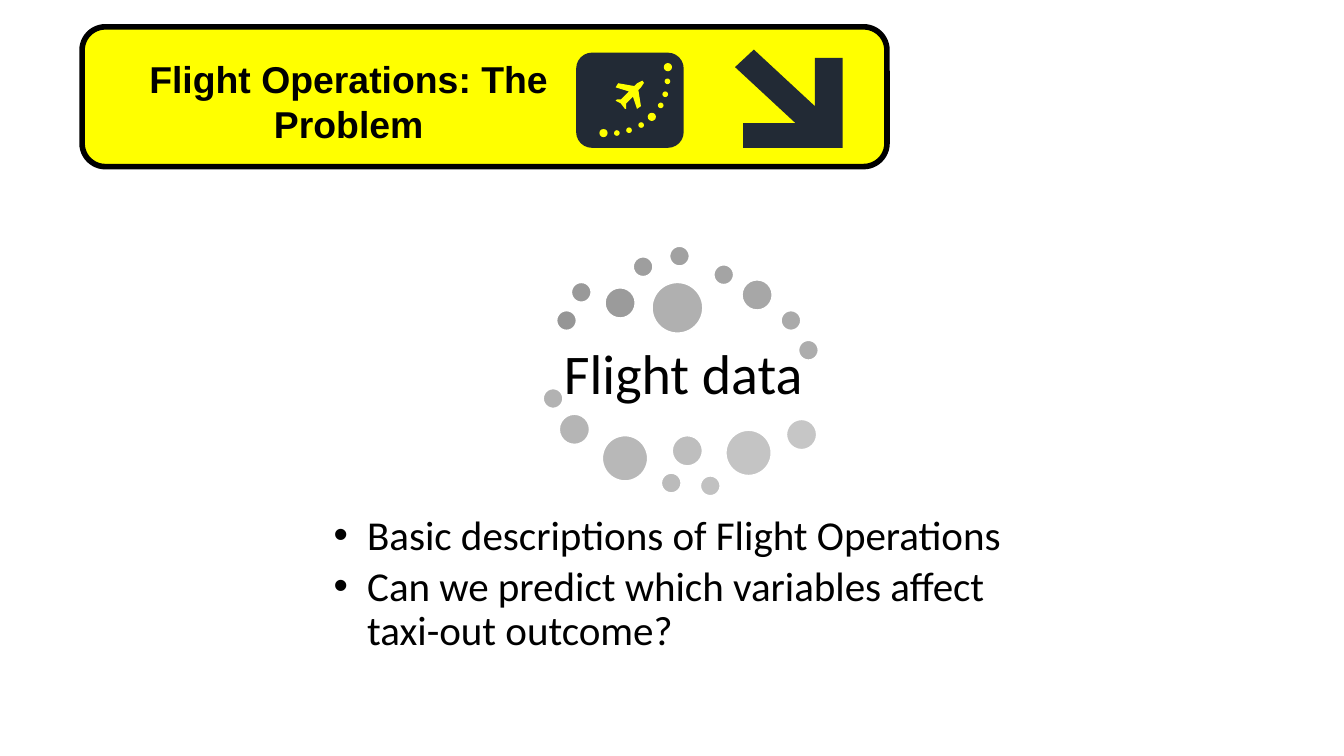
import dataclasses

import lxml.etree
import pptx
import pptx.dml.color
import pptx.enum.shapes
import pptx.enum.text
import pptx.oxml.ns
import pptx.util

Pt = pptx.util.Pt
RGB = pptx.dml.color.RGBColor.from_string
ANCHOR = pptx.enum.text.MSO_ANCHOR
ALIGN = pptx.enum.text.PP_ALIGN
SHAPE = pptx.enum.shapes.MSO_SHAPE


@dataclasses.dataclass(frozen=True)
class Theme:
    yellow: str = "FFFF00"
    navy: str = "222A35"
    black: str = "000000"
    white: str = "FFFFFF"
    title_size: int = 20
    label_size: int = 30
    body_size: int = 22
    title_font: str = "Arial"
    body_font: str = "Calibri"


theme = Theme()
prs = pptx.Presentation()
prs.slide_width = Pt(720)
prs.slide_height = Pt(405)
s = prs.slides.add_slide(prs.slide_layouts[1])


def paint(sp, fill, line=None, width=1):
    sp.shadow.inherit = False
    sp.fill.solid()
    sp.fill.fore_color.rgb = RGB(fill)
    if line:
        sp.line.color.rgb = RGB(line)
        sp.line.width = Pt(width)
    else:
        sp.line.fill.background()


def write(sp, box, lines, font, size, bold=False, align=ALIGN.LEFT,
          anchor=ANCHOR.TOP, inset=(3, 3), spacing=0.9, after=0, bullet=False):
    sp.left, sp.top, sp.width, sp.height = (Pt(v) for v in box)
    tf = sp.text_frame
    tf.word_wrap = True
    tf.auto_size = pptx.enum.text.MSO_AUTO_SIZE.NONE
    tf.vertical_anchor = anchor
    tf.margin_left = tf.margin_right = Pt(inset[0])
    tf.margin_top = tf.margin_bottom = Pt(inset[1])
    for i, line in enumerate(lines):
        p = tf.add_paragraph() if i else tf.paragraphs[0]
        p.alignment = align
        p.line_spacing = spacing
        p.space_before = Pt(0)
        p.space_after = Pt(after)
        if bullet:
            pPr = p._p.get_or_add_pPr()
            pPr.set("marL", str(Pt(18)))
            pPr.set("indent", str(Pt(-18)))
            bu = lxml.etree.SubElement(pPr, pptx.oxml.ns.qn("a:buChar"))
            bu.set("char", "•")
        r = p.add_run()
        r.text = line
        r.font.name = font
        r.font.size = Pt(size)
        r.font.bold = bold
        r.font.color.rgb = RGB(theme.black)


sign = s.shapes.add_shape(SHAPE.ROUNDED_RECTANGLE, Pt(44), Pt(14.4), Pt(431.2), Pt(74.9))
paint(sign, theme.yellow, theme.black, 3)

badge = s.shapes.add_shape(SHAPE.ROUNDED_RECTANGLE, Pt(308.7), Pt(28.2), Pt(57.6), Pt(51))
paint(badge, theme.navy)

arrow = [(403.9, 26.6), (393.8, 36), (426.2, 66), (398.2, 66), (398.2, 79.2),
         (451.4, 79.2), (451.4, 31), (436.6, 31), (436.6, 56.9)]
plane = [(344.2, 43.2), (341.3, 44.6), (339.8, 46.1), (331.2, 44.6), (329.8, 46.8),
         (337, 49), (332.6, 53.3), (330.5, 53.3), (329.8, 54), (332.6, 55.4),
         (334.8, 58.3), (335.5, 58.3), (335.5, 55.4), (339.1, 51.8), (341.3, 58.3),
         (343.4, 56.9), (342, 48.2), (343.4, 46.8), (345, 44.4)]
for outline, color in ((arrow, theme.navy), (plane, theme.yellow)):
    pts = [(Pt(x), Pt(y)) for x, y in outline]
    fb = s.shapes.build_freeform(*pts[0])
    fb.add_line_segments(pts[1:], close=True)
    paint(fb.convert_to_shape(), color)

flight_path = [(357.8, 36), (357.6, 43.6), (356.4, 50.5), (354, 56.5), (349.2, 62.6),
               (343.5, 67), (337, 69.8), (330.5, 71.3), (323.3, 71.3)]
for i, (x, y) in enumerate(flight_path):
    d = 3 if i % 4 else 4.4
    dot = s.shapes.add_shape(SHAPE.OVAL, Pt(x - d / 2), Pt(y - d / 2), Pt(d), Pt(d))
    paint(dot, theme.yellow)

title = s.shapes.title
write(title, (43.2, 26.6, 287.3, 55.4), ["Flight Operations: The Problem"],
      theme.title_font, theme.title_size, bold=True, align=ALIGN.CENTER,
      inset=(7.2, 3.6), spacing=1)
badge.element.addprevious(title.element)

label = s.shapes.add_textbox(0, 0, 0, 0)
write(label, (298.8, 179.3, 134.6, 44.6), ["Flight data"], theme.body_font,
      theme.label_size, align=ALIGN.CENTER, anchor=ANCHOR.MIDDLE)

write(s.placeholders[1], (175.7, 272.9, 380.2, 83.5),
      ["Basic descriptions of Flight Operations",
       "Can we predict which variables affect taxi-out outcome?"],
      theme.body_font, theme.body_size, after=3.5, bullet=True)

small, medium, large, largest = 10.8, 16.4, 24.5, 27.4
bubbles = [
    (298.1, 166.3, small, "969696"), (306, 151.2, small, "999999"),
    (324, 154.1, medium, "9B9B9B"), (339.1, 137.5, small, "9E9E9E"),
    (358.6, 131.8, small, "A1A1A1"), (382.3, 141.8, small, "A4A4A4"),
    (397.4, 149.8, medium, "A7A7A7"), (418.3, 166.3, small, "AAAAAA"),
    (427.7, 182.2, small, "ADADAD"), (349.2, 151.2, largest, "B0B0B0"),
    (290.9, 208.1, small, "B2B2B2"), (299.5, 221.8, medium, "B5B5B5"),
    (322.6, 233.3, large, "B8B8B8"), (354.2, 253.4, small, "BBBBBB"),
    (360, 233.3, medium, "BEBEBE"), (375.1, 254.9, small, "C1C1C1"),
    (388.8, 230.4, large, "C4C4C4"), (421.2, 224.6, medium, "C6C6C6"),
]
for x, y, d, gray in bubbles:
    bubble = s.shapes.add_shape(SHAPE.OVAL, Pt(x), Pt(y), Pt(d), Pt(d))
    paint(bubble, gray, theme.white)

prs.save("out.pptx")
